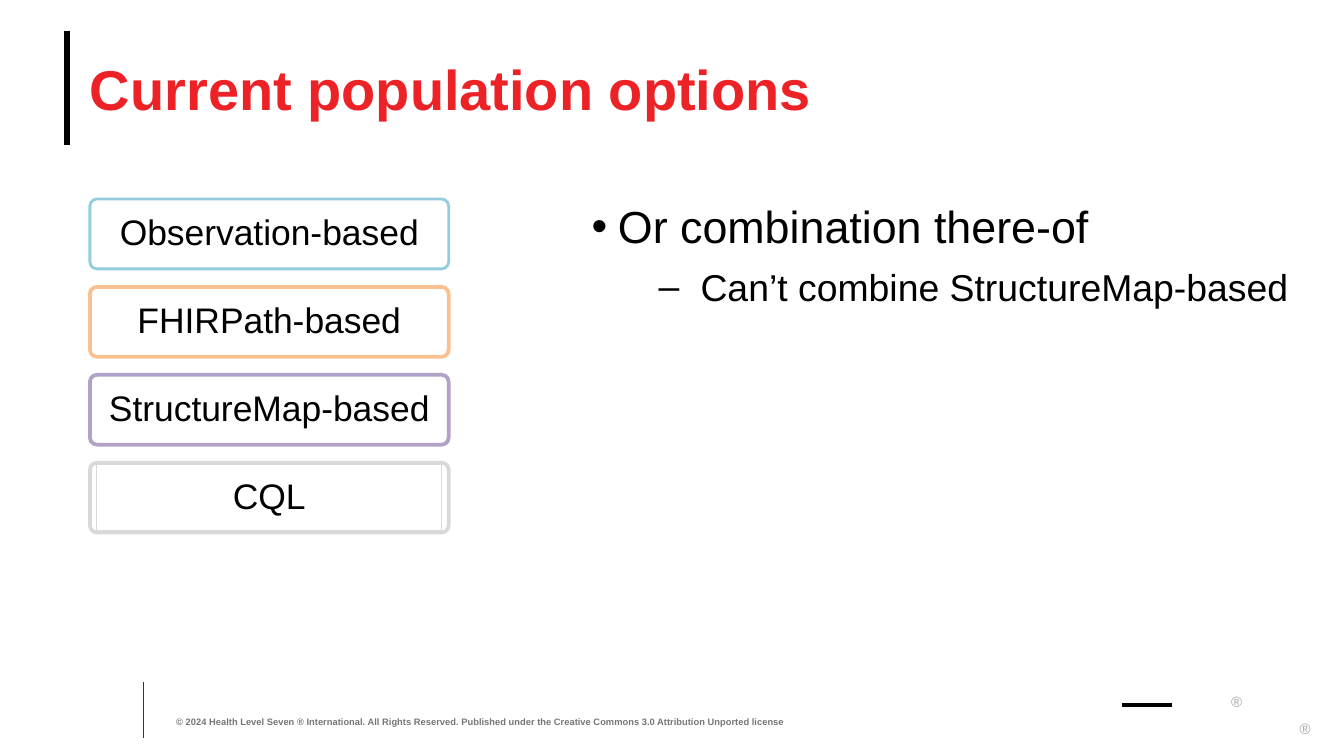
from lxml.etree import SubElement
from pptx import Presentation
from pptx.dml.color import RGBColor
from pptx.enum.shapes import MSO_CONNECTOR, MSO_SHAPE
from pptx.enum.text import MSO_ANCHOR, MSO_AUTO_SIZE, PP_ALIGN
from pptx.oxml.ns import qn
from pptx.util import Cm, Pt

BLACK = RGBColor(0x00, 0x00, 0x00)
WHITE = RGBColor(0xFF, 0xFF, 0xFF)
RED = RGBColor(0xEC, 0x22, 0x27)
BROWN = RGBColor(0x3D, 0x30, 0x29)
SLATE = RGBColor(0x74, 0x76, 0x79)
SILVER = RGBColor(0xA6, 0xA6, 0xA6)
BLUE = RGBColor(0x93, 0xCD, 0xDD)
ORANGE = RGBColor(0xFA, 0xC0, 0x90)
PURPLE = RGBColor(0xB3, 0xA2, 0xC7)
GREY = RGBColor(0xD9, 0xD9, 0xD9)

TITLE = "Current population options"
LEGAL = ("© 2024 Health Level Seven ® International. All Rights Reserved. "
         "Published under the Creative Commons 3.0 Attribution Unported license")
# text, outline colour, outline width, inner frame
OPTIONS = [
    ("Observation-based", BLUE, 1.5, False),
    ("FHIRPath-based", ORANGE, 2, False),
    ("StructureMap-based", PURPLE, 2, False),
    ("CQL", GREY, 2, True),
]
# text, size, bullet, left margin, hanging indent, space before
POINTS = [
    ("Or combination there-of", 24, "•", 0.5, 0.5, 0),
    ("Can’t combine StructureMap-based", 20, "–", 2.06, 0.79, 6),
]
# start x, start y, end x, end y, colour, width
RULES = [
    (1.27, 0.58, 1.27, 2.74, BLACK, 3.25),
    (2.72, 12.88, 2.72, 13.94, BROWN, 0.5),
    (21.21, 13.31, 22.15, 13.31, BLACK, 2),
]
MARKS = [(23.27, 13.08), (24.56, 13.59)]

LEFT, TOP, WIDE, HIGH, STEP = 1.7, 3.76, 6.78, 1.32, 1.66


def style(font, size, color=BLACK, bold=False):
    look = {"name": "Arial", "size": Pt(size), "bold": bold}
    for key, value in look.items():
        setattr(font, key, value)
    font.color.rgb = color


def setup(shape, anchor=MSO_ANCHOR.TOP, pad_x=0, pad_y=0):
    """Set wrapping, anchor and margins; return the text frame."""
    frame = shape.text_frame
    look = {
        "word_wrap": True, "auto_size": MSO_AUTO_SIZE.NONE,
        "vertical_anchor": anchor,
        "margin_left": Cm(pad_x), "margin_right": Cm(pad_x),
        "margin_top": Cm(pad_y), "margin_bottom": Cm(pad_y),
    }
    for key, value in look.items():
        setattr(frame, key, value)
    return frame


def write(shape, text, size, color=BLACK, bold=False, align=PP_ALIGN.LEFT, **layout):
    para = setup(shape, **layout).paragraphs[0]
    para.text = text
    para.alignment = align
    style(para.runs[0].font, size, color, bold)
    return para


def add_rule(shapes, x1, y1, x2, y2, color, width):
    rule = shapes.add_connector(MSO_CONNECTOR.STRAIGHT, Cm(x1), Cm(y1), Cm(x2), Cm(y2))
    rule.line.color.rgb = color
    rule.line.width = Pt(width)
    SubElement(rule.element.spPr, qn("a:effectLst"))


def add_panel(shapes, kind, box, color, width):
    """Add an unfilled shape, outlined only when a colour is given."""
    panel = shapes.add_shape(kind, *map(Cm, box))
    panel.shadow.inherit = False
    panel.fill.background()
    if color is None:
        panel.line.fill.background()
    else:
        panel.line.color.rgb = color
        panel.line.width = Pt(width)
    return panel


def add_option(shapes, row, text, color, width, framed):
    top = TOP + row * STEP
    card = add_panel(shapes, MSO_SHAPE.ROUNDED_RECTANGLE,
                     (LEFT, top, WIDE, HIGH), color, width)
    card.adjustments[0] = 0.1
    card.fill.solid()
    card.fill.fore_color.rgb = WHITE
    tint = card.element.spPr.find(qn("a:solidFill"))[0]
    SubElement(tint, qn("a:alpha"), val="90000")

    side = 0.13 if framed else 0.04
    box = (LEFT + side, top + 0.04, WIDE - 2 * side, HIGH - 0.08)
    label = add_panel(shapes, MSO_SHAPE.RECTANGLE, box, color if framed else None, 0.75)
    para = write(label, text, 19, align=PP_ALIGN.CENTER,
                 anchor=MSO_ANCHOR.MIDDLE, pad_x=0.1, pad_y=0.08)
    para.line_spacing = 0.9


def add_points(shapes):
    frame = setup(shapes.add_textbox(Cm(11.18), Cm(TOP), Cm(13.39), Cm(8.61)))
    for row, (text, size, mark, left, hang, gap) in enumerate(POINTS):
        para = frame.add_paragraph() if row else frame.paragraphs[0]
        para.text = text
        para.level = row
        props = para._p.get_or_add_pPr()
        props.set("marL", str(Cm(left)))
        props.set("indent", str(-Cm(hang)))
        SubElement(props, qn("a:buFont"), typeface="Arial")
        SubElement(props, qn("a:buChar"), char=mark)
        para.space_before = Pt(gap)
        style(para.runs[0].font, size)


def main():
    deck = Presentation()
    deck.slide_width, deck.slide_height = Cm(25.4), Cm(14.28)
    shapes = deck.slides.add_slide(deck.slide_layouts[5]).shapes

    for rule in RULES:
        add_rule(shapes, *rule)
    for x, y in MARKS:
        write(shapes.add_textbox(Cm(x), Cm(y), Cm(0.28), Cm(0.33)), "®", 8, SILVER)

    title = shapes.title
    title.left, title.top, title.width, title.height = map(Cm, (LEFT, 0.58, 22.86, 2.18))
    write(title, TITLE, 30, RED, True, anchor=MSO_ANCHOR.MIDDLE)

    add_points(shapes)
    legal = shapes.add_textbox(Cm(3.33), Cm(13.31), Cm(12.57), Cm(0.43))
    write(legal, LEGAL, 5, SLATE, True, anchor=MSO_ANCHOR.BOTTOM)
    for row, option in enumerate(OPTIONS):
        add_option(shapes, row, *option)

    deck.save("out.pptx")


if __name__ == "__main__":
    main()
